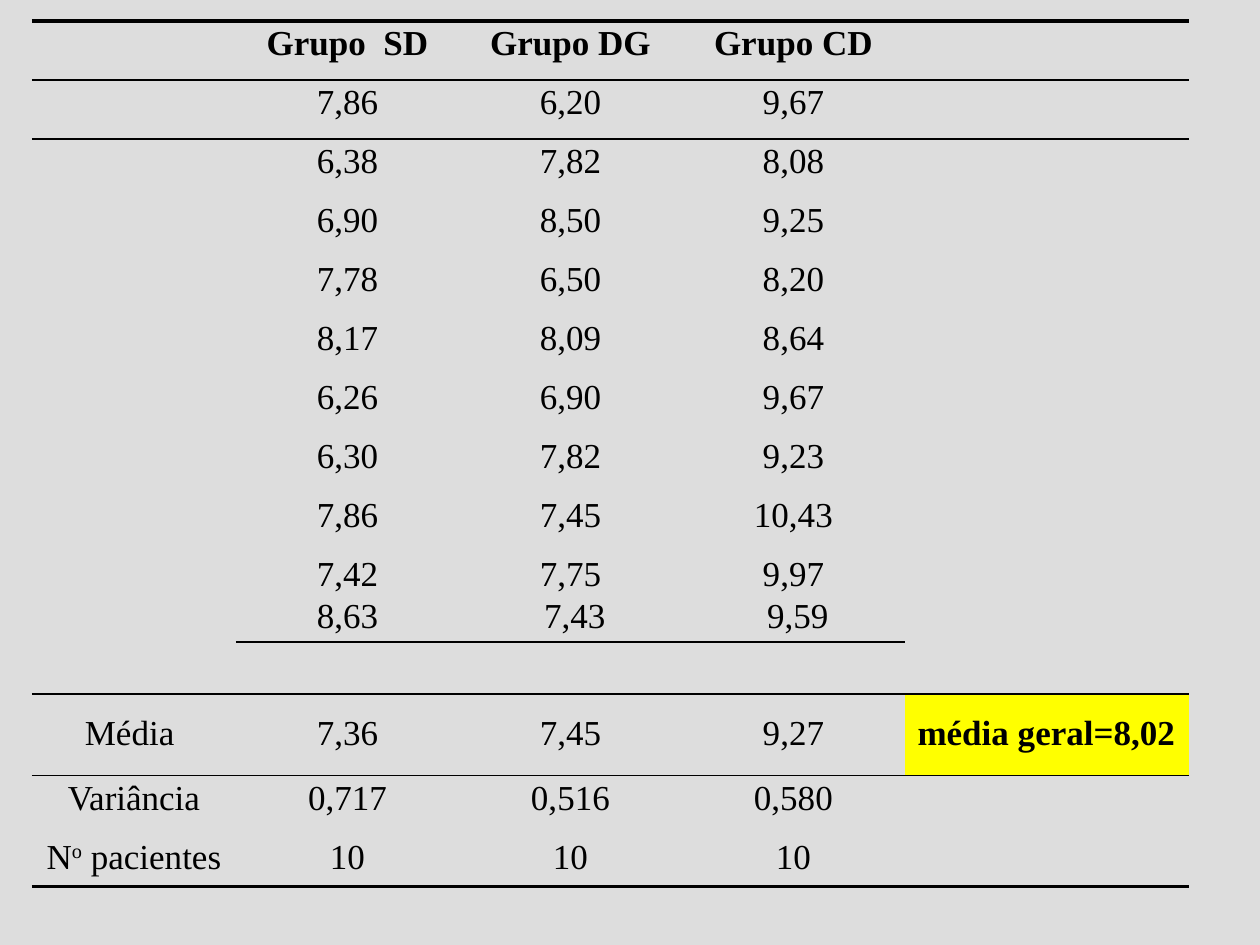
from lxml.etree import SubElement as Sub
from pptx import Presentation as Deck
from pptx.dml.color import RGBColor as Rgb
from pptx.enum.text import MSO_ANCHOR as Anchor, PP_ALIGN as Align
from pptx.oxml.ns import qn
from pptx.util import Pt

PX = 7257
INK, BACK, MARK = "000000", "DDDDDD", "FFFF00"
PLAIN = "{2D5ABB26-0587-4C30-8999-92F81FD0307C}"
COLS = [204, 223, 223, 223, 284]
ROWS = [59] * 9 + [90, 52, 82, 59, 52]
HEAD = ["Grupo  SD", "Grupo DG", "Grupo CD"]
DATA = [
    ["7,86", "6,20", "9,67"],
    ["6,38", "7,82", "8,08"],
    ["6,90", "8,50", "9,25"],
    ["7,78", "6,50", "8,20"],
    ["8,17", "8,09", "8,64"],
    ["6,26", "6,90", "9,67"],
    ["6,30", "7,82", "9,23"],
    ["7,86", "7,45", "10,43"],
    ["7,42\n8,63", "7,75\n 7,43", "9,97\n 9,59"],
]
SUMS = [
    ["Média ", "7,36", "7,45", "9,27", "média geral=8,02"],
    ["Variância", "0,717", "0,516", "0,580"],
    ["N^o^ pacientes", "10", "10", "10"],
]
GRID = [[""] + row for row in [HEAD] + DATA + [[]]] + SUMS
LAST = len(GRID) - 1
MEAN = LAST - 2
ALL, MID = range(5), range(1, 4)
RULES = [
    (0, "T", ALL, 2.25),
    (0, "B", ALL, 1),
    (1, "T", ALL, 1),
    (9, "B", MID, 1),
    (10, "T", MID, 1),
    (MEAN - 1, "B", ALL, 1),
    (MEAN, "T", ALL, 1),
    (LAST, "B", ALL, 2.25),
]


def tint(code):
    return Rgb.from_string(code)


def put(item, **vals):
    for key, val in vals.items():
        setattr(item, key, val)


class Page:
    """Holds the text style and the current slide."""

    def __init__(self, deck):
        self.font = {"name": "Times New Roman", "size": Pt(20)}
        self.para = {"line_spacing": 0.9, "space_before": Pt(4)}
        self.slide = deck.slides.add_slide(deck.slide_layouts[6])
        fill = self.slide.background.fill
        fill.solid()
        fill.fore_color.rgb = tint(BACK)

    def table(self, left, top, cols, rows):
        box = [n * PX for n in (left, top, sum(cols), sum(rows))]
        table = self.slide.shapes.add_table(len(rows), len(cols), *box).table
        put(table, first_row=False, horz_banding=False)
        table._tbl.tblPr.find(qn("a:tableStyleId")).text = PLAIN
        for col, size in zip(table.columns, cols):
            col.width = size * PX
        for row, size in zip(table.rows, rows):
            row.height = size * PX
        return table

    def text(self, cell, words, bold=False, align=Align.CENTER):
        for num, line in enumerate(words.split("\n")):
            frame = cell.text_frame
            para = frame.add_paragraph() if num else frame.paragraphs[0]
            put(para, alignment=align, **self.para)
            for part, bit in enumerate(line.split("^")):
                run = para.add_run()
                run.text = bit
                put(run.font, bold=bold, **self.font)
                run.font.color.rgb = tint(INK)
                if part % 2:
                    run.font._element.set("baseline", "30000")

    def rule(self, cell, side, size):
        edge = Sub(cell._tc.get_or_add_tcPr(), qn("a:ln" + side), w=str(Pt(size)))
        Sub(Sub(edge, qn("a:solidFill")), qn("a:srgbClr"), val=INK)

    def fill(self, cell, code):
        cell.fill.solid()
        cell.fill.fore_color.rgb = tint(code)


def main():
    deck = Deck()
    put(deck, slide_width=1260 * PX, slide_height=945 * PX)
    page = Page(deck)
    table = page.table(32, 21, COLS, ROWS)
    for r, row in enumerate(GRID):
        for c, words in enumerate(row):
            cell = table.cell(r, c)
            side = c == 4
            if words:
                page.text(cell, words, r == 0 or side, Align.LEFT if side else Align.CENTER)
            if r == MEAN:
                cell.vertical_anchor = Anchor.MIDDLE
    for c in (0, 4):
        table.cell(9, c).merge(table.cell(10, c))
    for r, side, cols, size in RULES:
        for c in cols:
            page.rule(table.cell(r, c), side, size)
    page.fill(table.cell(MEAN, 4), MARK)
    deck.save("out.pptx")


if __name__ == "__main__":
    main()
